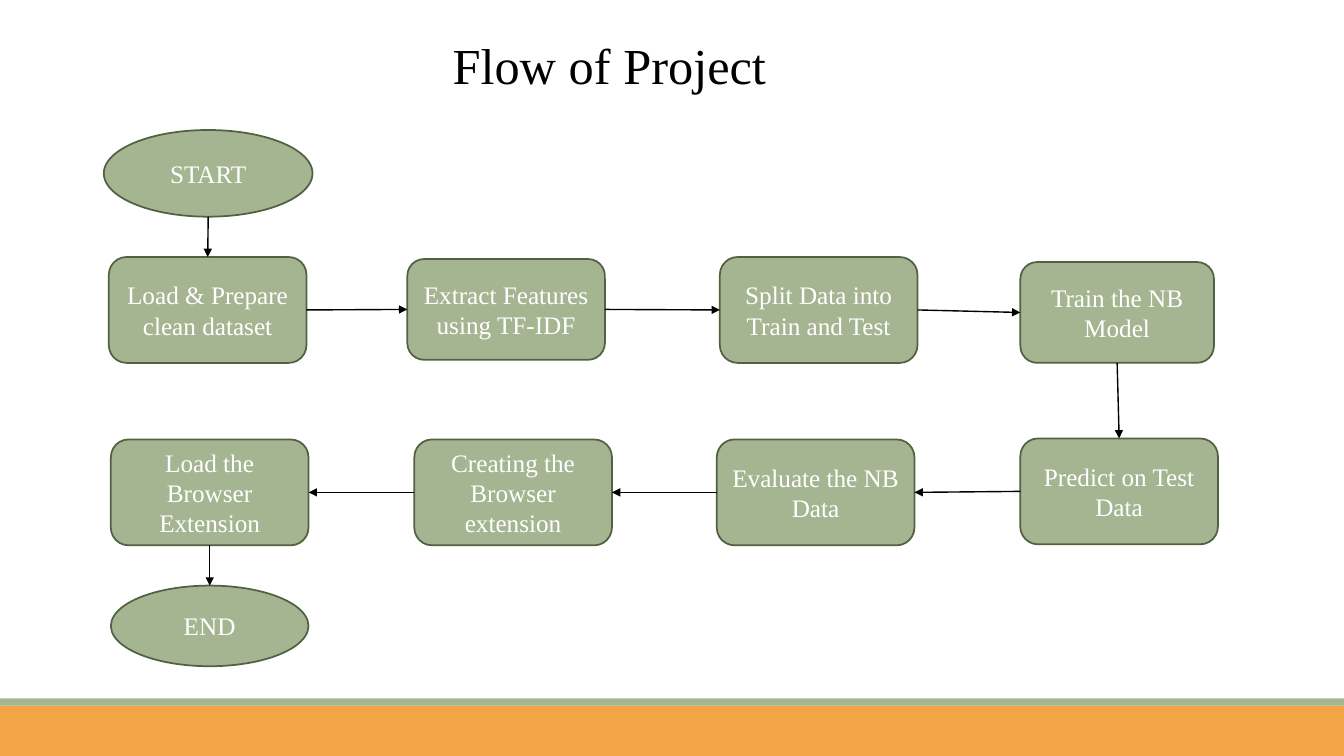
from lxml import etree
from pptx import Presentation
from pptx.dml.color import RGBColor
from pptx.enum.shapes import MSO_CONNECTOR, MSO_SHAPE
from pptx.enum.text import MSO_ANCHOR, MSO_AUTO_SIZE, PP_ALIGN
from pptx.oxml.ns import qn
from pptx.util import Inches, Pt

RECTANGLE = MSO_SHAPE.RECTANGLE
ROUNDED = MSO_SHAPE.ROUNDED_RECTANGLE
OVAL = MSO_SHAPE.OVAL
STRAIGHT = MSO_CONNECTOR.STRAIGHT
CENTER, LEFT = PP_ALIGN.CENTER, PP_ALIGN.LEFT
MIDDLE = MSO_ANCHOR.MIDDLE
GROW = MSO_AUTO_SIZE.SHAPE_TO_FIT_TEXT

# Connection sites of rectangles
TOP, LEFT_SIDE, BOTTOM, RIGHT_SIDE = range(4)

GREEN, DARK_GREEN, ORANGE = "A5B592", "536142", "F3A447"
BLACK, WHITE = "000000", "FFFFFF"
TITLE_FORMAT = {"name": "Times New Roman", "size": Pt(36)}
STEP_FORMAT = {"name": "Times New Roman", "size": Pt(18)}

# Flow order: text, preset, box, site the next arrow leaves from, site the arrow enters
STEPS = [
    ("START", OVAL, (1.03, 1.29, 2.07, 0.86), BOTTOM, None),
    ("Load & Prepare clean dataset", ROUNDED, (1.08, 2.55, 1.96, 1.05), RIGHT_SIDE, TOP),
    ("Extract Features using TF-IDF", ROUNDED, (4.04, 2.57, 1.96, 1), RIGHT_SIDE, LEFT_SIDE),
    ("Split Data into Train and Test", ROUNDED, (7.14, 2.55, 1.96, 1.05), RIGHT_SIDE, LEFT_SIDE),
    ("Train the NB Model", ROUNDED, (10.12, 2.6, 1.92, 1), BOTTOM, LEFT_SIDE),
    ("Predict on Test Data", ROUNDED, (10.12, 4.35, 1.96, 1.05), LEFT_SIDE, TOP),
    ("Evaluate the NB Data", ROUNDED, (7.11, 4.36, 1.96, 1.05), LEFT_SIDE, RIGHT_SIDE),
    ("Creating the Browser extension", ROUNDED, (4.11, 4.36, 1.96, 1.05), LEFT_SIDE, RIGHT_SIDE),
    ("Load the Browser Extension", ROUNDED, (1.1, 4.36, 1.96, 1.05), BOTTOM, RIGHT_SIDE),
    ("END", OVAL, (1.1, 5.81, 1.96, 0.8), None, TOP),
]


def color(hex_string):
    return RGBColor.from_string(hex_string)


def write_text(shape, text, font_format, hex_string, alignment):
    shape.text_frame.word_wrap = True
    paragraph = shape.text_frame.paragraphs[0]
    paragraph.alignment = alignment
    run = paragraph.add_run()
    run.text = text
    for name, value in font_format.items():
        setattr(run.font, name, value)
    run.font.color.rgb = color(hex_string)


def add_filled(slide, preset, box, fill):
    shape = slide.shapes.add_shape(preset, *map(Inches, box))
    shape.shadow.inherit = False
    shape.fill.solid()
    shape.fill.fore_color.rgb = color(fill)
    shape.line.fill.background()
    return shape


def add_footer(slide, box):
    left, top, width, height = box
    stripe = 0.07
    add_filled(slide, RECTANGLE, (left, top + stripe, width, height - stripe), ORANGE)
    add_filled(slide, RECTANGLE, (left, top, width, stripe), GREEN)


def add_title(slide, box, text):
    title = slide.shapes.add_textbox(*map(Inches, box))
    write_text(title, text, TITLE_FORMAT, BLACK, LEFT)
    title.text_frame.auto_size = GROW


def add_step(slide, preset, box, text):
    step = add_filled(slide, preset, box, GREEN)
    step.line.color.rgb = color(DARK_GREEN)
    step.line.width = Pt(1.25)
    write_text(step, text, STEP_FORMAT, WHITE, CENTER)
    step.text_frame.vertical_anchor = MIDDLE
    return step


def add_arrow(slide, source, source_site, target, target_site):
    # Start at the bottom centre; an oval numbers its sites differently and stays unjoined
    begin_x = source.left + source.width // 2
    begin_y = source.top + source.height
    arrow = slide.shapes.add_connector(STRAIGHT, begin_x, begin_y, begin_x, begin_y)
    if source.auto_shape_type != OVAL:
        arrow.begin_connect(source, source_site)
    arrow.end_connect(target, target_site)
    arrow.line.color.rgb = color(BLACK)
    arrow.line.width = Pt(1)
    properties = arrow._element.spPr
    etree.SubElement(properties.find(qn("a:ln")), qn("a:tailEnd"), type="triangle")
    etree.SubElement(properties, qn("a:effectLst"))


def add_flow(slide, steps):
    previous = previous_site = None
    for text, preset, box, exit_site, entry_site in steps:
        step = add_step(slide, preset, box, text)
        if previous is not None:
            add_arrow(slide, previous, previous_site, step, entry_site)
        previous, previous_site = step, exit_site


def main():
    presentation = Presentation()
    presentation.slide_width = Inches(13.33)
    presentation.slide_height = Inches(7.5)
    slide = presentation.slides.add_slide(presentation.slide_layouts[6])
    add_footer(slide, (0, 6.93, 13.33, 0.57))
    add_flow(slide, STEPS)
    add_title(slide, (4.39, 0.29, 3.37, 0.71), "Flow of Project")
    presentation.save("out.pptx")


if __name__ == "__main__":
    main()
